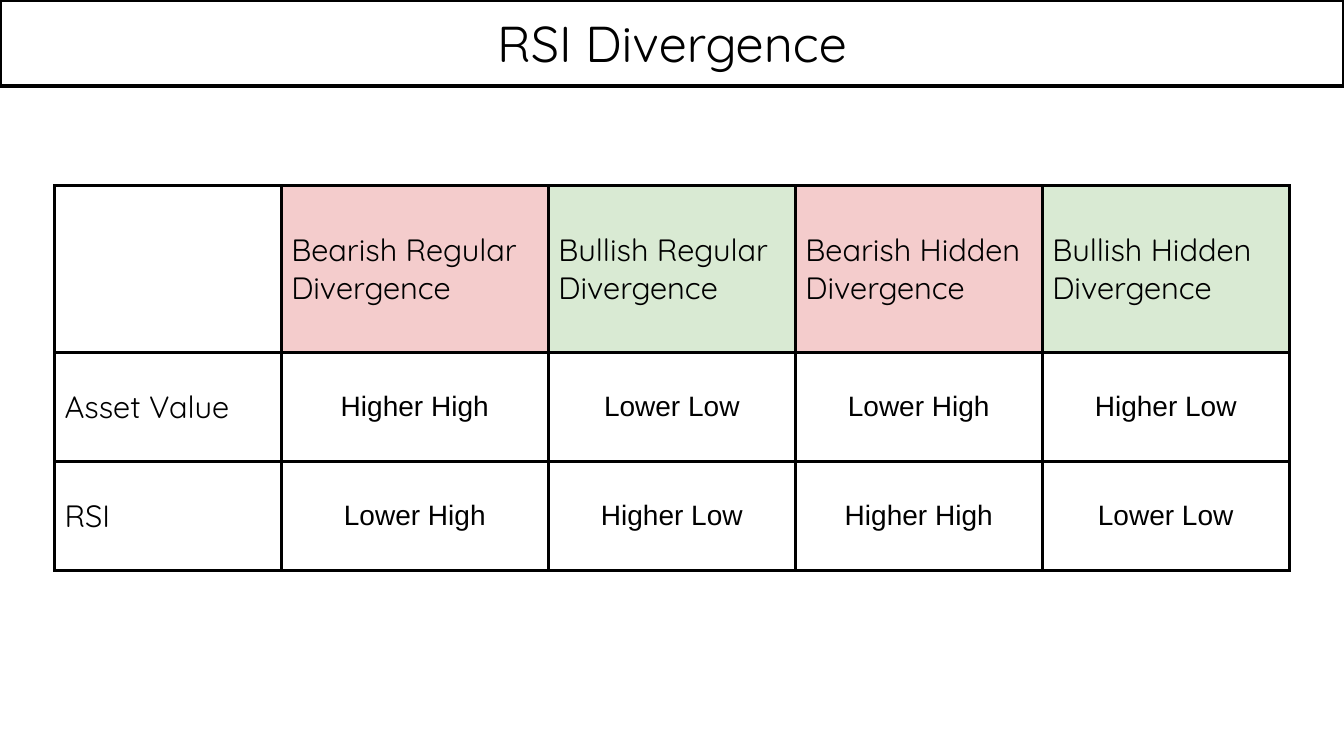
from dataclasses import dataclass

from lxml.etree import SubElement
from pptx import Presentation
from pptx.dml.color import RGBColor
from pptx.enum.text import MSO_ANCHOR as Anchor, MSO_AUTO_SIZE as AutoSize, PP_ALIGN as Align
from pptx.oxml.ns import qn
from pptx.util import Pt


@dataclass(frozen=True)
class Theme:
    ink: str = "000000"
    paper: str = "FFFFFF"
    bearish: str = "F4CCCC"
    bullish: str = "D9EAD3"
    label_font: str = "Quicksand"
    value_font: str = "Arial"
    title_size: float = 36
    label_size: float = 22
    value_size: float = 20
    title_line: float = 3
    border: float = 2.25


THEME = Theme()
SLIDE_WIDTH, SLIDE_HEIGHT = 960, 540
TITLE_BOX = (0, 0, SLIDE_WIDTH, 61.2)
TABLE_BOX = (38.9, 132.5, 882, 275)
COLUMN_SHARES = (2.25, 2.65, 2.45, 2.45, 2.45)
ROW_SHARES = (1.66, 1.08, 1.08)
ROWS = (
    ("", "Bearish Regular Divergence", "Bullish Regular Divergence",
     "Bearish Hidden Divergence", "Bullish Hidden Divergence"),
    ("Asset Value", "Higher High", "Lower Low", "Lower High", "Higher Low"),
    ("RSI", "Lower High", "Higher Low", "Higher High", "Lower Low"),
)


def set_attributes(target, values):
    for name, value in values.items():
        setattr(target, name, value)


def write_text(text_frame, text, font_name, size, alignment):
    paragraph = text_frame.paragraphs[0]
    paragraph.alignment = alignment
    run = paragraph.add_run()
    run.text = text
    set_attributes(run.font, {"name": font_name, "size": Pt(size), "bold": False})
    run.font.color.rgb = RGBColor.from_string(THEME.ink)


def add_borders(cell):
    properties = cell._tc.get_or_add_tcPr()
    for side in ("lnL", "lnR", "lnT", "lnB"):
        line = SubElement(properties, qn(f"a:{side}"), w=str(Pt(THEME.border)))
        fill = SubElement(line, qn("a:solidFill"))
        SubElement(fill, qn("a:srgbClr"), val=THEME.ink)


def add_title(slide, box):
    title = slide.shapes.title
    left, top, width, height = map(Pt, box)
    set_attributes(title, {"left": left, "top": top, "width": width, "height": height})
    title.line.color.rgb = RGBColor.from_string(THEME.ink)
    title.line.width = Pt(THEME.title_line)
    set_attributes(title.text_frame, {
        "auto_size": AutoSize.NONE, "word_wrap": True, "vertical_anchor": Anchor.MIDDLE,
        "margin_left": Pt(7.2), "margin_right": Pt(7.2),
        "margin_top": Pt(3.6), "margin_bottom": Pt(3.6),
    })
    write_text(title.text_frame, "RSI Divergence", THEME.label_font,
               THEME.title_size, Align.CENTER)


def format_cell(cell, text, is_label, color):
    margins = {f"margin_{side}": Pt(7.2) for side in ("left", "right", "top", "bottom")}
    set_attributes(cell, {"vertical_anchor": Anchor.MIDDLE, **margins})
    add_borders(cell)
    cell.fill.solid()
    cell.fill.fore_color.rgb = RGBColor.from_string(color)
    if text and is_label:
        write_text(cell.text_frame, text, THEME.label_font, THEME.label_size, Align.LEFT)
    elif text:
        write_text(cell.text_frame, text, THEME.value_font, THEME.value_size, Align.CENTER)


def add_divergence_table(slide, box):
    left, top, width, height = box
    table = slide.shapes.add_table(len(ROWS), len(COLUMN_SHARES), *map(Pt, box)).table
    set_attributes(table, {"first_row": False, "horz_banding": False})
    for column, share in zip(table.columns, COLUMN_SHARES):
        column.width = Pt(width * share / sum(COLUMN_SHARES))
    for row, share in zip(table.rows, ROW_SHARES):
        row.height = Pt(height * share / sum(ROW_SHARES))
    for row_index, texts in enumerate(ROWS):
        for column_index, text in enumerate(texts):
            color = THEME.paper
            if row_index == 0 and column_index > 0:
                color = THEME.bearish if text.startswith("Bearish") else THEME.bullish
            format_cell(table.cell(row_index, column_index), text,
                        row_index == 0 or column_index == 0, color)


def main():
    presentation = Presentation()
    set_attributes(presentation, {"slide_width": Pt(SLIDE_WIDTH),
                                  "slide_height": Pt(SLIDE_HEIGHT)})
    slide = presentation.slides.add_slide(presentation.slide_layouts[5])
    add_title(slide, TITLE_BOX)
    add_divergence_table(slide, TABLE_BOX)
    presentation.save("out.pptx")


if __name__ == "__main__":
    main()
